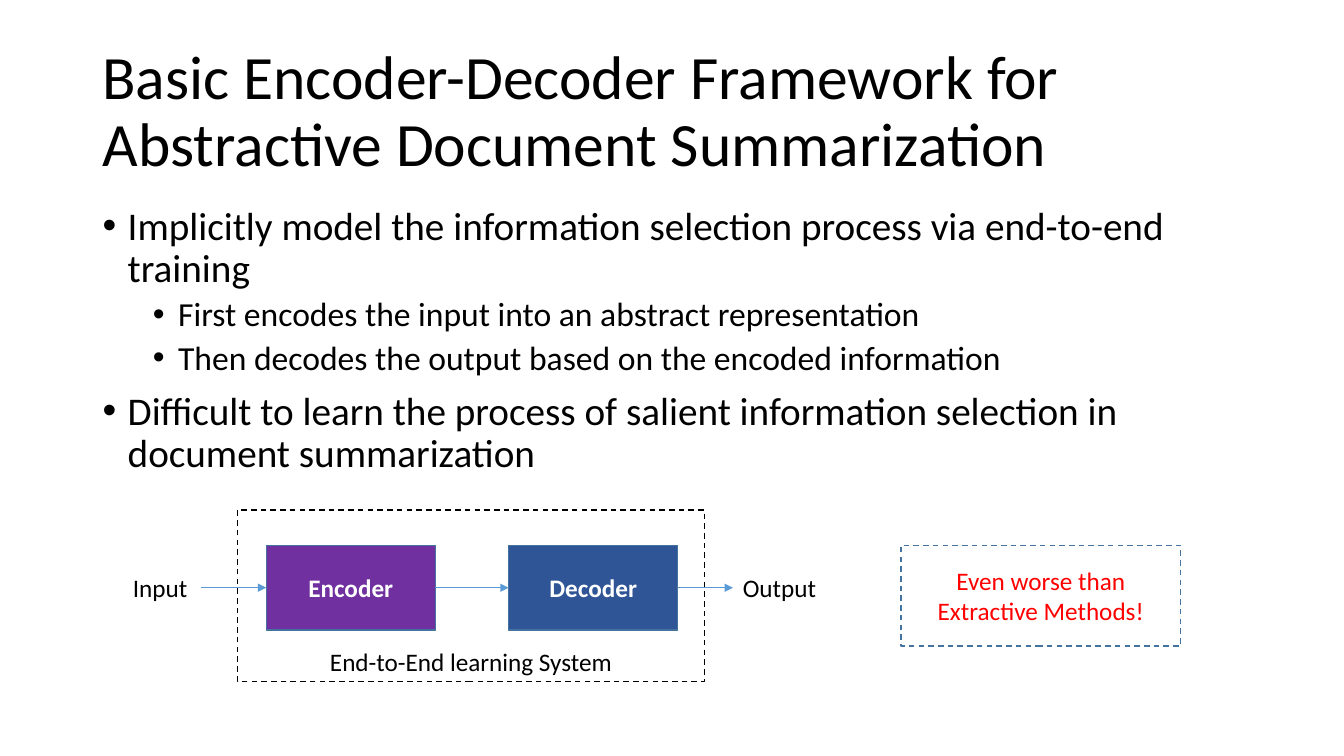
from dataclasses import dataclass

from lxml import etree
from pptx import Presentation
from pptx.dml.color import RGBColor
from pptx.enum.dml import MSO_LINE
from pptx.enum.shapes import MSO_CONNECTOR, MSO_SHAPE
from pptx.enum.text import MSO_ANCHOR, MSO_AUTO_SIZE, PP_ALIGN
from pptx.oxml.ns import qn
from pptx.util import Cm, Pt

DASH = MSO_LINE.DASH
RECT = MSO_SHAPE.RECTANGLE
STRAIGHT = MSO_CONNECTOR.STRAIGHT
TOP, MIDDLE, BOTTOM = MSO_ANCHOR.TOP, MSO_ANCHOR.MIDDLE, MSO_ANCHOR.BOTTOM
FIXED, GROW = MSO_AUTO_SIZE.NONE, MSO_AUTO_SIZE.SHAPE_TO_FIT_TEXT
LEFT, CENTER = PP_ALIGN.LEFT, PP_ALIGN.CENTER
SIDE_LEFT, SIDE_RIGHT = 1, 3


@dataclass(frozen=True)
class Theme:
    font: str = "Calibri"
    black: str = "000000"
    white: str = "FFFFFF"
    red: str = "FF0000"
    purple: str = "7030A0"
    navy: str = "2F5597"
    edge: str = "43739E"
    arrow: str = "5B9BD5"
    title: int = 44
    levels: tuple = (28, 24)
    gaps: tuple = (10, 5)
    label: int = 18


class Board:
    def __init__(self, slide, theme):
        self.slide = slide
        self.theme = theme

    def place(self, shape, left, top, width, height):
        shape.left, shape.top = Cm(left), Cm(top)
        shape.width, shape.height = Cm(width), Cm(height)

    def style(self, para, size, color, bold=False, align=LEFT):
        para.alignment = align
        for run in para.runs:
            font = run.font
            font.name, font.size, font.bold = self.theme.font, Pt(size), bold
            font.color.rgb = RGBColor.from_string(color)

    def title(self, text, *area):
        shape = self.slide.shapes.title
        self.place(shape, *area)
        frame = shape.text_frame
        frame.text = text
        frame.auto_size, frame.vertical_anchor = FIXED, MIDDLE
        para = frame.paragraphs[0]
        para.line_spacing = 0.9
        self.style(para, self.theme.title, self.theme.black)

    def bullets(self, items, *area):
        shape = self.slide.placeholders[1]
        self.place(shape, *area)
        frame = shape.text_frame
        frame.text = "\n".join(text for level, text in items)
        frame.auto_size, frame.vertical_anchor = FIXED, TOP
        for num, (para, (level, text)) in enumerate(zip(frame.paragraphs, items)):
            props = para._p.get_or_add_pPr()
            props.set("marL", str(Cm(0.635 + 1.27 * level)))
            props.set("indent", str(Cm(-0.635)))
            etree.SubElement(props, qn("a:buFont")).set("typeface", "Arial")
            etree.SubElement(props, qn("a:buChar")).set("char", "•")
            para.level = level
            para.line_spacing = 0.9
            para.space_before = Pt(self.theme.gaps[level] if num else 0)
            self.style(para, self.theme.levels[level], self.theme.black)

    def box(self, text, area, color, edge, fill=None, anchor=MIDDLE):
        shape = self.slide.shapes.add_shape(RECT, *map(Cm, area))
        shape.shadow.inherit = False
        shape.line.color.rgb = RGBColor.from_string(edge)
        shape.line.width = Pt(1)
        if fill:
            shape.fill.solid()
            shape.fill.fore_color.rgb = RGBColor.from_string(fill)
        else:
            shape.fill.background()
            shape.line.dash_style = DASH
        frame = shape.text_frame
        frame.text = text
        frame.word_wrap, frame.vertical_anchor = True, anchor
        self.style(frame.paragraphs[0], self.theme.label, color,
                   bold=bool(fill), align=CENTER)
        return shape

    def label(self, text, *area):
        shape = self.slide.shapes.add_textbox(*map(Cm, area))
        frame = shape.text_frame
        frame.text = text
        frame.word_wrap, frame.auto_size = False, GROW
        self.style(frame.paragraphs[0], self.theme.label, self.theme.black)
        return shape

    def arrow(self, start, end):
        line = self.slide.shapes.add_connector(STRAIGHT, 0, 0, 0, 0)
        line.begin_connect(start, SIDE_RIGHT)
        line.end_connect(end, SIDE_LEFT)
        line.line.color.rgb = RGBColor.from_string(self.theme.arrow)
        line.line.width = Pt(0.5)
        stroke = line.line._get_or_add_ln()
        etree.SubElement(stroke, qn("a:tailEnd")).set("type", "triangle")
        etree.SubElement(line._element.spPr, qn("a:effectLst"))


def main():
    deck = Presentation()
    deck.slide_width, deck.slide_height = Cm(33.87), Cm(19.05)
    theme = Theme()
    board = Board(deck.slides.add_slide(deck.slide_layouts[1]), theme)

    # Title and list
    board.title("Basic Encoder-Decoder Framework for "
                "Abstractive Document Summarization", 2.33, 1.01, 29.21, 3.68)
    board.bullets([
        (0, "Implicitly model the information selection process via "
            "end-to-end training"),
        (1, "First encodes the input into an abstract representation"),
        (1, "Then decodes the output based on the encoded information"),
        (0, "Difficult to learn the process of salient information selection "
            "in document summarization"),
    ], 2.33, 5.07, 29.21, 12.09)

    # Model parts inside the dashed system frame
    row, high, wide = 13.74, 2.14, 4.26
    encoder, decoder = [
        board.box(name, (left, row, wide, high), theme.white, theme.edge, fill)
        for name, left, fill in (("Encoder", 6.71, theme.purple),
                                 ("Decoder", 12.82, theme.navy))]
    board.box("End-to-End learning System", (5.99, 12.85, 11.76, 4.32),
              theme.black, theme.black, anchor=BOTTOM)

    # Labels at both ends, on the middle line of the parts
    tall = 1.02
    top = row + (high - tall) / 2
    source = board.label("Input", 3.1, top, 1.96, tall)
    result = board.label("Output", 18.47, top, 2.39, tall)

    # Flow from left to right
    chain = [source, encoder, decoder, result]
    for start, end in zip(chain, chain[1:]):
        board.arrow(start, end)

    # Remark
    board.box("Even worse than Extractive Methods!", (22.71, row, 7.04, 2.54),
              theme.red, theme.edge)

    deck.save("out.pptx")


if __name__ == "__main__":
    main()
